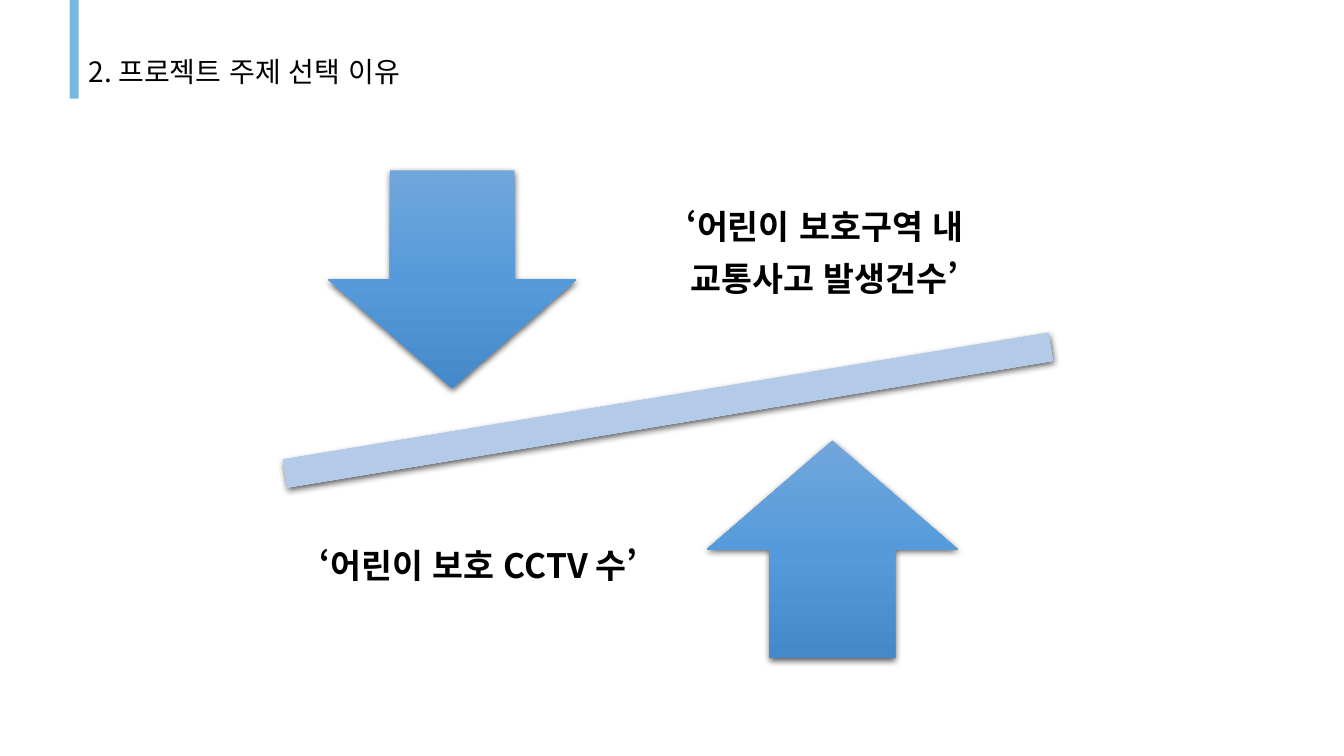
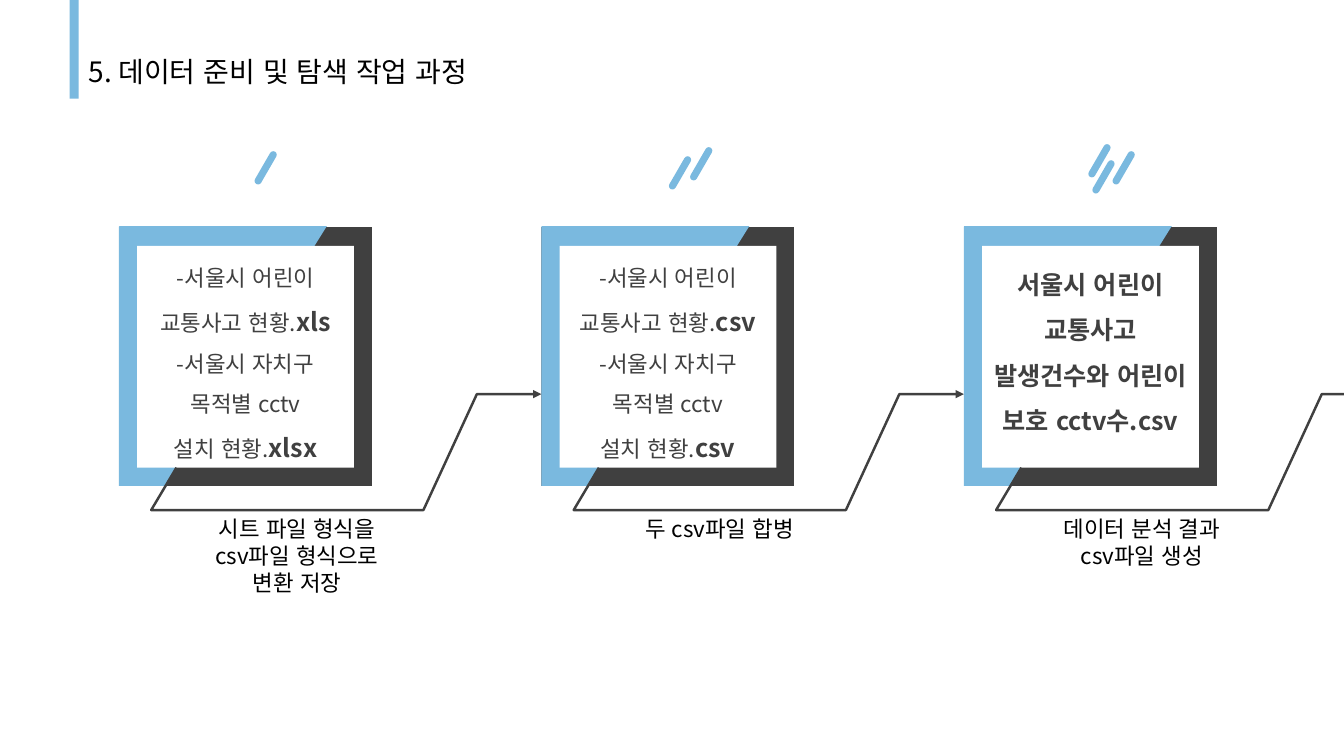
from dataclasses import dataclass

from lxml import etree
from pptx import Presentation
from pptx.dml.color import RGBColor
from pptx.enum.lang import MSO_LANGUAGE_ID as LANG
from pptx.enum.shapes import MSO_SHAPE as SHAPE
from pptx.enum.text import MSO_ANCHOR as ANCHOR, PP_ALIGN as ALIGN
from pptx.oxml.ns import qn
from pptx.util import Inches, Pt


@dataclass(frozen=True)
class Theme:
    font: str = "Noto Sans CJK KR"
    black: str = "000000"
    white: str = "FFFFFF"
    dark: str = "404040"
    sky: str = "7AB9DF"
    arrow: tuple = ((0, "71A6DB"), (50, "559BDB"), (100, "448ACA"))
    beam: tuple = ((0, "C0D2EB"), (50, "B3CBE9"), (100, "9BB4D3"))
    frame: tuple = ((50, "404040"), (50, "7AB9DF"))
    title_size: int = 20
    claim_size: int = 24
    strong_size: int = 18
    body_size: int = 16


@dataclass(frozen=True)
class Step:
    lines: tuple
    caption: tuple
    slashes: tuple
    size: int
    bold: bool = False
    inset_top: float = 0.05


T = Theme()
STEP_TOP, STEP_LEFT, STEP_PITCH = 2.25, 1.18, 4.19

# A line is plain text, or a pair of text and emphasised ending.
STEPS = (
    Step((("-서울시 어린이 교통사고 현황.", "xls"), "-서울시 자치구",
          "목적별 cctv", ("설치 현황.", "xlsx")),
         ("시트 파일 형식을", "csv파일 형식으로", "변환 저장"),
         ((1.42, -0.77),), T.body_size),
    Step((("-서울시 어린이 교통사고 현황.", "csv"), "-서울시 자치구",
          "목적별 cctv", ("설치 현황.", "csv")),
         ("두 csv파일 합병",),
         ((1.34, -0.72), (1.55, -0.81)), T.body_size),
    Step(("서울시 어린이", "교통사고", "발생건수와 어린이", "보호 cctv수.csv"),
         ("데이터 분석 결과", "csv파일 생성"),
         ((1.31, -0.84), (1.35, -0.68), (1.55, -0.77)),
         T.strong_size, True, 0.08),
)


def rgb(value):
    return RGBColor.from_string(value)


def inches(*values):
    return [Inches(v) for v in values]


def add_child(parent, tag, **attrs):
    return etree.SubElement(parent, qn(tag), attrs)


def add_solid(slide, kind, box, color):
    sp = slide.shapes.add_shape(kind, *inches(*box))
    sp.shadow.inherit = False
    sp.fill.solid()
    sp.fill.fore_color.rgb = rgb(color)
    sp.line.fill.background()
    return sp


def add_gradient(slide, kind, box, stops, angle):
    """Angle is clockwise, in degrees."""
    sp = add_solid(slide, kind, box, stops[0][1])
    sp.fill.gradient()
    sp.fill.gradient_angle = 360 - angle
    gs_list = sp._element.spPr.find(".//" + qn("a:gsLst"))
    for old in list(gs_list):
        gs_list.remove(old)
    for position, color in stops:
        stop = add_child(gs_list, "a:gs", pos=str(position * 1000))
        add_child(stop, "a:srgbClr", val=color)
    return sp


def add_drop_shadow(sp):
    effects = sp._element.spPr.find(qn("a:effectLst"))
    shadow = add_child(effects, "a:outerShdw", blurRad=str(Pt(4.5)), dist=str(Pt(1.5)),
                       dir="5400000", algn="ctr", rotWithShape="0")
    color = add_child(shadow, "a:srgbClr", val=T.black)
    add_child(color, "a:alpha", val="63000")


def add_run(p, text):
    r = p.add_run()
    r.text = text
    r.font.language_id = LANG.KOREAN
    return r


def write(tf, lines, size, color=T.black, bold=False, align=ALIGN.CENTER,
          spacing=None, after=None, anchor=ANCHOR.TOP):
    tf.word_wrap = True
    tf.vertical_anchor = anchor
    for i, line in enumerate(lines):
        p = tf.paragraphs[0] if i == 0 else tf.add_paragraph()
        p.alignment = align
        p.line_spacing = spacing
        p.space_after = after
        p.font.size = Pt(size)
        p.font.bold = bold
        p.font.name = T.font
        p.font.color.rgb = rgb(color)
        add_child(p._p.pPr.find(qn("a:defRPr")), "a:ea", typeface=T.font)
        text, ending = (line, None) if isinstance(line, str) else line
        add_run(p, text)
        if ending:
            r = add_run(p, ending)
            r.font.size = Pt(T.strong_size)
            r.font.bold = True


def add_text(slide, box, lines, size, inset=None, **style):
    tf = slide.shapes.add_textbox(*inches(*box)).text_frame
    if inset is not None:
        tf.margin_left = tf.margin_right = Inches(inset)
        tf.margin_top = tf.margin_bottom = Inches(inset)
    write(tf, lines, size, **style)


def new_slide(prs, title):
    slide = prs.slides.add_slide(prs.slide_layouts[5])
    add_solid(slide, SHAPE.RECTANGLE, (0.69, 0, 0.09, 0.98), T.sky)
    sp = slide.shapes.title
    sp.left, sp.top, sp.width, sp.height = inches(0.78, 0.49, 5.48, 0.44)
    write(sp.text_frame, [title], T.title_size, align=ALIGN.LEFT, anchor=ANCHOR.MIDDLE)
    return slide


def add_seesaw(slide, left, top):
    beam = add_gradient(slide, SHAPE.MATH_MINUS, (left, top + 1.78, 10.47, 1.2), T.beam, 90)
    beam.rotation = 350.6
    down = add_gradient(slide, SHAPE.DOWN_ARROW, (left + 1.86, top, 2.47, 2.16), T.arrow, 90)
    up = add_gradient(slide, SHAPE.UP_ARROW, (left + 5.62, top + 2.68, 2.49, 2.16), T.arrow, 90)
    for sp in (beam, down, up):
        add_drop_shadow(sp)


def add_claim(slide, box, lines, spacing=None):
    add_text(slide, box, lines, T.claim_size, inset=0.19, bold=True, spacing=spacing,
             after=Pt(0.35 * T.claim_size), anchor=ANCHOR.MIDDLE)


def add_step_arrow(slide, left, top):
    """Bent line from the foot of a step to the side of the next."""
    offsets = ((0.57, 2.39), (0.32, 2.81), (3.02, 2.81), (3.55, 1.66), (STEP_PITCH, 1.66))
    start, *rest = [inches(left + x, top + y) for x, y in offsets]
    builder = slide.shapes.build_freeform(*start)
    builder.add_line_segments(rest, close=False)
    sp = builder.convert_to_shape()
    sp.shadow.inherit = False
    sp.fill.background()
    sp.line.color.rgb = rgb(T.dark)
    sp.line.width = Pt(1.75)
    add_child(sp.line._get_or_add_ln(), "a:tailEnd", type="triangle")


def add_step(slide, left, top, step):
    add_gradient(slide, SHAPE.RECTANGLE, (left, top, 2.51, 2.57), T.frame, 212)
    panel = add_solid(slide, SHAPE.RECTANGLE, (left + 0.18, top + 0.19, 2.15, 2.2), T.white)
    tf = panel.text_frame
    tf.margin_left = tf.margin_right = Inches(0.05)
    tf.margin_top = Inches(step.inset_top)
    write(tf, step.lines, step.size, T.dark, step.bold, spacing=1.5)
    add_step_arrow(slide, left, top)
    for x, y in step.slashes:
        slash = add_solid(slide, SHAPE.ROUNDED_RECTANGLE, (left + x, top + y, 0.07, 0.37), T.sky)
        slash.adjustments[0] = 0.5
        slash.rotation = 30
    height = 0.1 + 0.29 * len(step.caption)
    add_text(slide, (left + 0.32, top + 2.81, 2.89, height), step.caption, T.body_size)


def build_reason_slide(prs):
    slide = new_slide(prs, "2. 프로젝트 주제 선택 이유")
    add_seesaw(slide, 1.39, 1.69)
    add_claim(slide, (5.36, 1.37, 5.64, 2.26), ["‘어린이 보호구역 내", "교통사고 발생건수’"])
    add_claim(slide, (2.04, 4.5, 5.41, 2.26), ["‘어린이 보호 CCTV 수’"], spacing=0.9)


def build_process_slide(prs):
    slide = new_slide(prs, "5. 데이터 준비 및 탐색 작업 과정")
    for i, step in enumerate(STEPS):
        add_step(slide, STEP_LEFT + i * STEP_PITCH, STEP_TOP, step)


def main():
    prs = Presentation()
    prs.slide_width, prs.slide_height = inches(13.33, 7.5)
    build_reason_slide(prs)
    build_process_slide(prs)
    prs.save("out.pptx")


if __name__ == "__main__":
    main()
